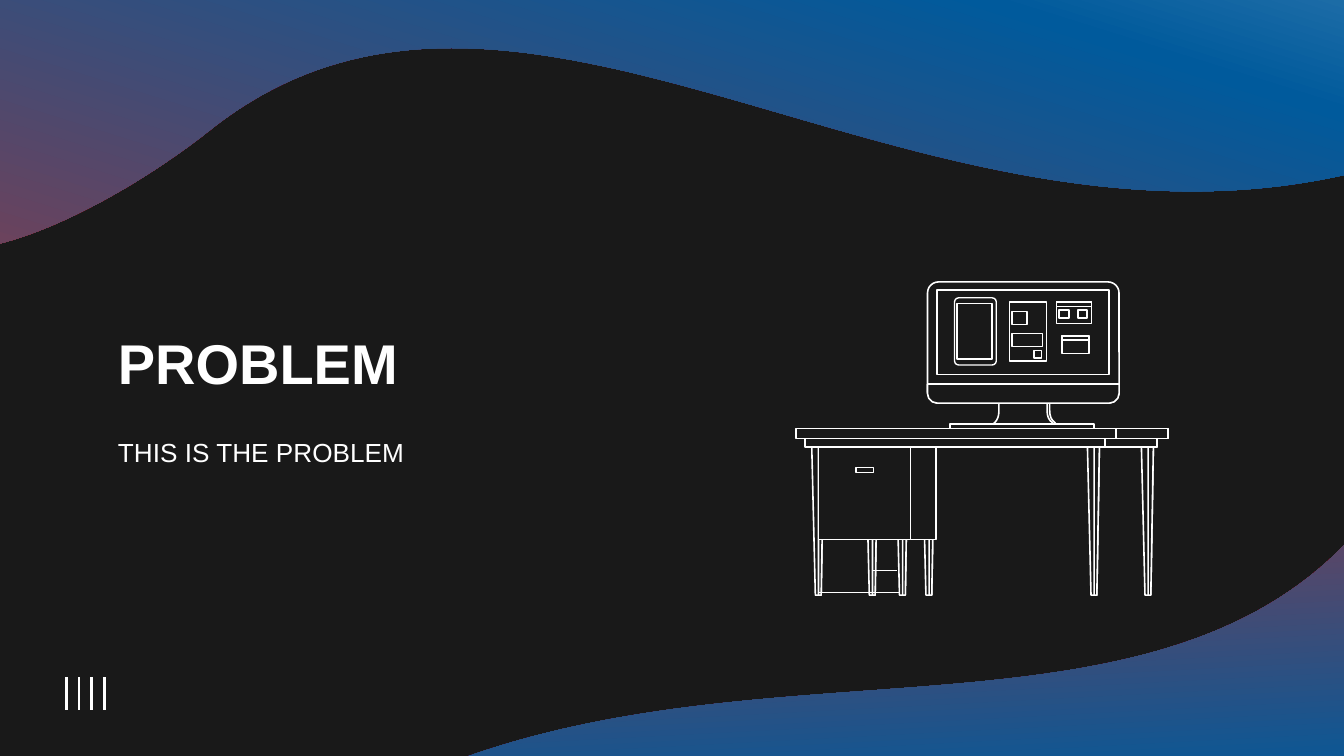
import lxml.etree
import pptx
import pptx.dml.color
import pptx.enum.shapes
import pptx.enum.text
import pptx.oxml.ns
import pptx.util

Cm = pptx.util.Cm
Pt = pptx.util.Pt
qn = pptx.oxml.ns.qn
PRESET = pptx.enum.shapes.MSO_SHAPE
ANCHOR = pptx.enum.text.MSO_ANCHOR

COLOURS = {"ground": "191919", "ink": "FFFFFF", "red": "D52B1E",
           "blue": "005A9C", "pale": "EFF1F3", "violet": "6E66AB"}
WAVE_STOPS = [(0, "red"), (55, "blue"), (100, "pale"), (100, "violet")]
WAVE = [(27.08, 0), (25.85, 0.57, 24.42, 2.1, 23.49, 3.46),
        (18.8, 10.43, 7.69, 3.39, 0, 11.24), (0, 16.84), (8.59, 16.84),
        (10.32, 14.89, 19.72, 11.34, 21.61, 10.96),
        (30.38, 9.15, 31.21, 10.01, 33.15, 9.58)]
STAND = [(0.13, 0), (0.13, 0.25), (0.13, 0.36, 0.1, 0.43, 0.05, 0.48),
         (0, 0.53), (1.17, 0.53), (1.14, 0.48),
         (1.07, 0.43, 1.04, 0.36, 1.04, 0.25), (1.04, 0)]
LEG = [(0, 0), (0.07, 2.9), (0.18, 2.9), (0.23, 0)]
LEG_SIDE = [(0.13, 0), (0.13, 2.9), (0.18, 2.9), (0.23, 0)]


def colour(name):
    """Return the named colour."""
    return pptx.dml.color.RGBColor.from_string(COLOURS[name])


def style(shape, weight, filled=True):
    """Give a shape the dark fill and white outline."""
    shape.shadow.inherit = False
    if filled:
        shape.fill.solid()
        shape.fill.fore_color.rgb = colour("ground")
    else:
        shape.fill.background()
    shape.line.color.rgb = colour("ink")
    shape.line.width = Pt(weight)


def add_outline(shapes, left, top, steps):
    """Draw a closed outline whose six-number steps are Bézier curves."""
    points = [(Cm(left + step[i]), Cm(top + step[i + 1]))
              for step in steps for i in range(0, len(step), 2)]
    builder = shapes.build_freeform(*points[0])
    builder.add_line_segments(points[1:], close=True)
    shape = builder.convert_to_shape()
    corners = iter(shape.element.xpath(".//a:lnTo"))
    for step in steps[1:]:
        group = [next(corners) for _ in range(len(step) // 2)]
        if len(group) == 3:
            curve = lxml.etree.Element(qn("a:cubicBezTo"))
            group[0].addprevious(curve)
            for corner in group:
                curve.append(corner[0])
                corner.getparent().remove(corner)
    return shape


def add_line(shapes, start, end, weight):
    """Draw a white line without shadow."""
    line = shapes.add_connector(pptx.enum.shapes.MSO_CONNECTOR.STRAIGHT,
                                *map(Cm, start + end))
    line.line.color.rgb = colour("ink")
    line.line.width = Pt(weight)
    lxml.etree.SubElement(line.element.spPr, qn("a:effectLst"))


def add_wave(page, left, top, rotation):
    """Place the gradient wave at a corner of its box and turn it."""
    wave = add_outline(page.shapes, left, top, WAVE)
    wave.shadow.inherit = False
    wave.line.fill.background()
    wave.fill.gradient()
    wave.fill.gradient_angle = 270
    stops = wave.element.xpath(".//a:gsLst")[0]
    for stop in list(stops):
        stops.remove(stop)
    for position, name in WAVE_STOPS:
        stop = lxml.etree.SubElement(stops, qn("a:gs"), pos=str(position * 1000))
        lxml.etree.SubElement(stop, qn("a:srgbClr"), val=COLOURS[name])
    wave.rotation = rotation


def add_bars(page, left, top, width, height):
    """Draw four evenly spaced upright bars."""
    bars = page.shapes.add_group_shape().shapes
    for index in range(4):
        x = left + index * width / 3
        add_line(bars, (x, top), (x, top + height), 1.5)


def add_text(page, left, top, width, height, text, size, bold=False):
    """Write one white line of text in a box."""
    box = page.shapes.add_textbox(*map(Cm, (left, top, width, height)))
    frame = box.text_frame
    frame.word_wrap = True
    frame.margin_left = frame.margin_right = Cm(0.25)
    frame.margin_top = frame.margin_bottom = Cm(0.25)
    frame.text = text
    for span in frame.paragraphs[0].runs:
        span.font.name = "Arial"
        span.font.size = Pt(size)
        span.font.bold = bold
        span.font.color.rgb = colour("ink")
    return box


def add_heading(page, left, top, width):
    """Place the title and the subtitle below it."""
    title = add_text(page, left, top, width, 2.01, "PROBLEM", 30, True)
    title.fill.solid()
    title.fill.fore_color.rgb = colour("ground")
    title.text_frame.vertical_anchor = ANCHOR.MIDDLE
    add_text(page, left, top + 2.16, width, 3.51, "THIS IS THE PROBLEM", 14)


def add_desk(page, left, top):
    """Draw the desk with its computer from the corner of its box."""
    shapes = page.shapes.add_group_shape().shapes

    def panel(x, y, width, height, weight=0.85, filled=True,
              preset=PRESET.RECTANGLE, corners=()):
        """Draw one preset part of the desk."""
        shape = shapes.add_shape(
            preset, *map(Cm, (left + x, top + y, width, height)))
        for index, corner in enumerate(corners):
            shape.adjustments[index] = corner
        style(shape, weight, filled)

    def legs(*places):
        """Draw the tapering legs at the given distances."""
        for x in places:
            for steps in (LEG, LEG_SIDE):
                style(add_outline(shapes, left + x, top + 3.02, steps), 0.85)

    for x in (3.76, 3.71):
        style(add_outline(shapes, left + x, top + 2.18, STAND), 0.85)
    panel(2.49, 0, 3.62, 2.29, preset=PRESET.ROUNDED_RECTANGLE, corners=[0.09])
    panel(2.49, 1.93, 3.62, 0.36, preset=PRESET.ROUND_2_SAME_RECTANGLE,
          corners=[0, 0.5])
    panel(2.67, 0.15, 3.25, 1.6, 0.75)
    panel(3, 0.3, 0.79, 1.27, 0.75, preset=PRESET.ROUNDED_RECTANGLE,
          corners=[0.1])
    for box in [(3.05, 0.41, 0.66, 1.05), (4.09, 0.56, 0.28, 0.25),
                (4.5, 1.3, 0.15, 0.14), (4.09, 0.97, 0.57, 0.25),
                (4.93, 0.38, 0.66, 0.41), (4.93, 0.38, 0.66, 0.09),
                (5.03, 1.02, 0.51, 0.33), (5.03, 1.02, 0.51, 0.08)]:
        panel(*box, 0.75)
    for box in [(4.04, 0.38, 0.7, 1.12), (4.98, 0.53, 0.18, 0.15),
                (5.33, 0.53, 0.18, 0.15)]:
        panel(*box, filled=False)
    panel(3.71, 2.72, 1.17, 0.05)
    panel(2.92, 2.69, 2.72, 0.08)
    legs(0.3, 1.89, 1.32, 2.39)
    for x in (0.91, 0.43):
        panel(x, 3.07, 1.74, 1.8)
    legs(5.51, 6.53)
    for box in [(0.18, 2.92, 6.65, 0.2), (5.84, 2.92, 0.99, 0.2),
                (0, 2.77, 7.04, 0.19), (6.05, 2.77, 0.99, 0.19),
                (1.14, 3.51, 0.33, 0.09)]:
        panel(*box)
    for start, end, y in [(1.45, 1.91, 5.46), (0.71, 1.96, 5.87),
                          (0.43, 1.65, 5.87)]:
        add_line(shapes, (left + start, top + y), (left + end, top + y), 0.75)


def main():
    """Build the section slide."""
    deck = pptx.Presentation()
    deck.slide_width, deck.slide_height = Cm(25.4), Cm(14.29)
    page = deck.slides.add_slide(deck.slide_layouts[6])
    page.background.fill.solid()
    page.background.fill.fore_color.rgb = colour("ground")
    add_wave(page, 3.2, 5.87, 357)
    add_wave(page, -4.55, -8.61, 197.4)
    add_bars(page, 1.25, 12.8, 0.73, 0.62)
    add_heading(page, 1.98, 5.84, 10.8)
    add_desk(page, 15.04, 5.33)
    deck.save("out.pptx")


if __name__ == "__main__":
    main()
